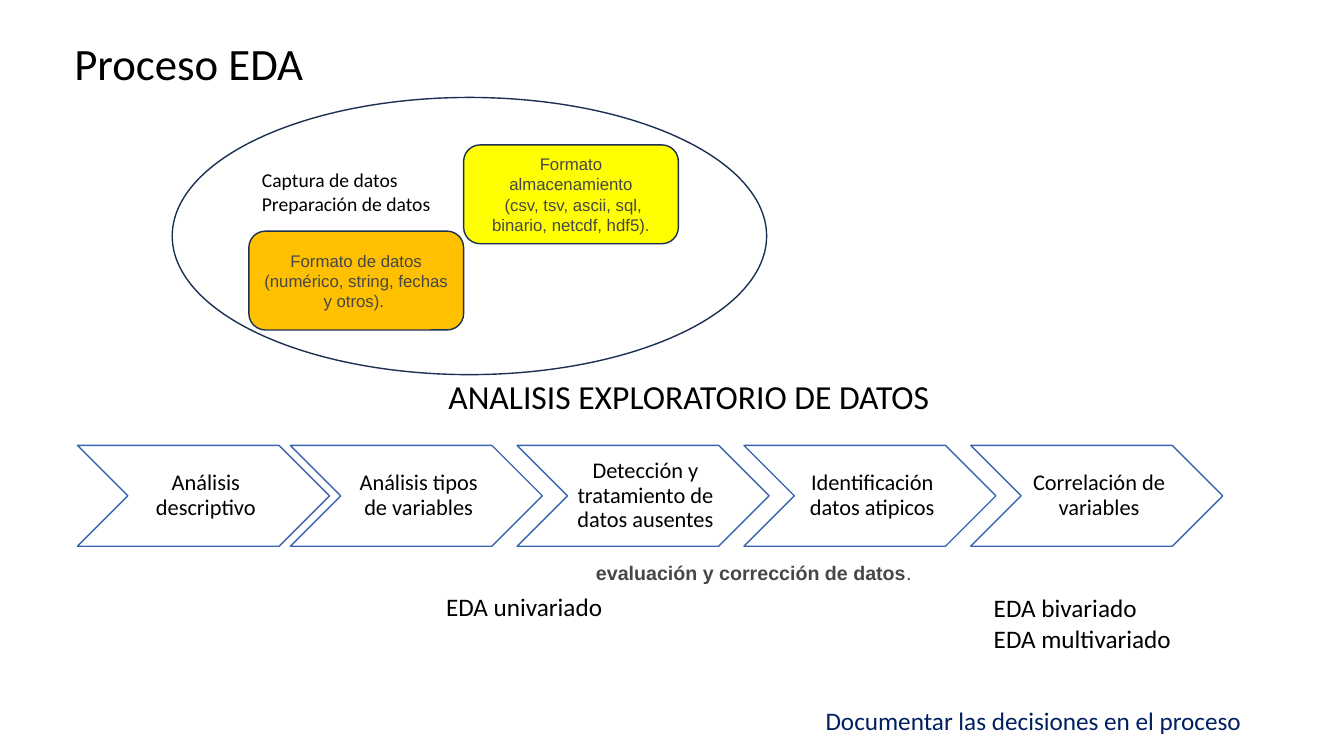
from pptx import Presentation
from pptx.dml.color import RGBColor
from pptx.enum import shapes as shp, text as txt
from pptx.util import Pt

BLACK = RGBColor(0x00, 0x00, 0x00)
WHITE = RGBColor(0xFF, 0xFF, 0xFF)
GRAY = RGBColor(0x47, 0x47, 0x47)
NAVY = RGBColor(0x00, 0x20, 0x60)
DARK_BLUE = RGBColor(0x1C, 0x30, 0x52)
BLUE = RGBColor(0x3A, 0x66, 0xB1)
YELLOW = RGBColor(0xFF, 0xFF, 0x00)
ORANGE = RGBColor(0xFF, 0xC0, 0x00)

LEFT, CENTER, RIGHT = txt.PP_ALIGN.LEFT, txt.PP_ALIGN.CENTER, txt.PP_ALIGN.RIGHT
TOP, MIDDLE = txt.MSO_ANCHOR.TOP, txt.MSO_ANCHOR.MIDDLE

BOX_MARGINS = (7.2, 3.6, 7.2, 3.6)
STEP_MARGINS = (5, 1.7, 1.7, 1.7)
STEP_TOP, STEP_WIDTH, STEP_HEIGHT = 318.2, 180, 72
FIRST_STEP_LEFT, SECOND_STEP_LEFT, STEP_PITCH = 55.4, 207.4, 162
STEPS = [
    "Análisis descriptivo",
    "Análisis tipos de variables",
    "Detección y tratamiento de datos ausentes",
    "Identificación datos atipicos",
    "Correlación de variables",
]


def write(frame, paragraphs, size, font="Calibri", color=BLACK, align=LEFT,
          anchor=TOP, margins=BOX_MARGINS, spacing=None):
    """Fill a frame; each paragraph is a list of (text, bold) runs, None being a line break."""
    frame.word_wrap = True
    frame.vertical_anchor = anchor
    (frame.margin_left, frame.margin_top,
     frame.margin_right, frame.margin_bottom) = map(Pt, margins)
    for index, runs in enumerate(paragraphs):
        paragraph = frame.add_paragraph() if index else frame.paragraphs[0]
        paragraph.alignment = align
        if spacing:
            paragraph.line_spacing = spacing
        for part in runs:
            if part is None:
                paragraph.add_line_break()
                continue
            run = paragraph.add_run()
            run.text, run.font.bold = part
            run.font.size = Pt(size)
            run.font.name = font
            run.font.color.rgb = color


def plain(*lines):
    return [[(line, False)] for line in lines]


def add_label(shapes, bounds, paragraphs, size, **style):
    label = shapes.add_textbox(*map(Pt, bounds))
    write(label.text_frame, paragraphs, size, **style)


def add_outlined(shapes, preset, bounds, line, fill=None):
    outlined = shapes.add_shape(preset, *map(Pt, bounds))
    outlined.shadow.inherit = False
    outlined.line.color.rgb = line
    outlined.line.width = Pt(1)
    if fill is None:
        outlined.fill.background()
    else:
        outlined.fill.solid()
        outlined.fill.fore_color.rgb = fill
    return outlined


def add_format_card(shapes, left, top, fill, paragraphs):
    card = add_outlined(shapes, shp.MSO_SHAPE.ROUNDED_RECTANGLE,
                        (left, top, 153.4, 70.6), DARK_BLUE, fill)
    write(card.text_frame, paragraphs, 12, font="Arial", color=GRAY,
          align=CENTER, anchor=MIDDLE)


def add_capture_stage(slide):
    stage = slide.shapes.add_group_shape().shapes
    add_outlined(stage, shp.MSO_SHAPE.OVAL, (123, 69.6, 424.6, 198), DARK_BLUE)
    add_label(stage, (180, 116.6, 136, 41),
              plain("Captura de datos", "Preparación de datos"), 14)
    add_format_card(stage, 331.2, 103.5, YELLOW, [[
        ("Formato almacenamiento", False), None,
        (" (csv, tsv, ascii, sql, binario, netcdf, hdf5).", False)]])
    add_format_card(stage, 177.8, 165.1, ORANGE, plain(
        "Formato de datos", "(numérico, string, fechas y otros). "))


def add_analysis_steps(slide):
    chain = slide.shapes.add_group_shape().shapes
    for index, step in enumerate(STEPS):
        left = SECOND_STEP_LEFT + (index - 1) * STEP_PITCH if index else FIRST_STEP_LEFT
        chevron = add_outlined(chain, shp.MSO_SHAPE.CHEVRON,
                               (left, STEP_TOP, STEP_WIDTH, STEP_HEIGHT), BLUE, WHITE)
        write(chevron.text_frame, plain(step), 16, align=CENTER, anchor=MIDDLE,
              margins=STEP_MARGINS, spacing=0.9)


def main():
    deck = Presentation()
    deck.slide_width, deck.slide_height = Pt(960), Pt(540)
    slide = deck.slides.add_slide(deck.slide_layouts[6])
    shapes = slide.shapes

    add_label(shapes, (46, 21, 828, 52), plain("Proceso EDA"), 32,
              anchor=MIDDLE, spacing=0.9)
    add_label(shapes, (578.2, 500.4, 315.4, 29),
              plain("Documentar las decisiones en el proceso"), 18,
              color=NAVY, align=RIGHT)
    add_capture_stage(slide)
    add_label(shapes, (313.2, 265, 416, 36),
              plain("ANALISIS EXPLORATORIO DE DATOS"), 24)
    add_analysis_steps(slide)
    add_label(shapes, (73.4, 419, 602, 51), plain("EDA univariado"), 18, align=CENTER)
    add_label(shapes, (702.7, 419.8, 195.8, 51),
              plain("EDA bivariado", "EDA multivariado"), 18)
    add_label(shapes, (369.4, 397.4, 342, 24.5),
              [[("evaluación y corrección de datos", True), (". ", False)]], 14,
              font="Arial", color=GRAY, align=CENTER)

    deck.save("out.pptx")


if __name__ == "__main__":
    main()
